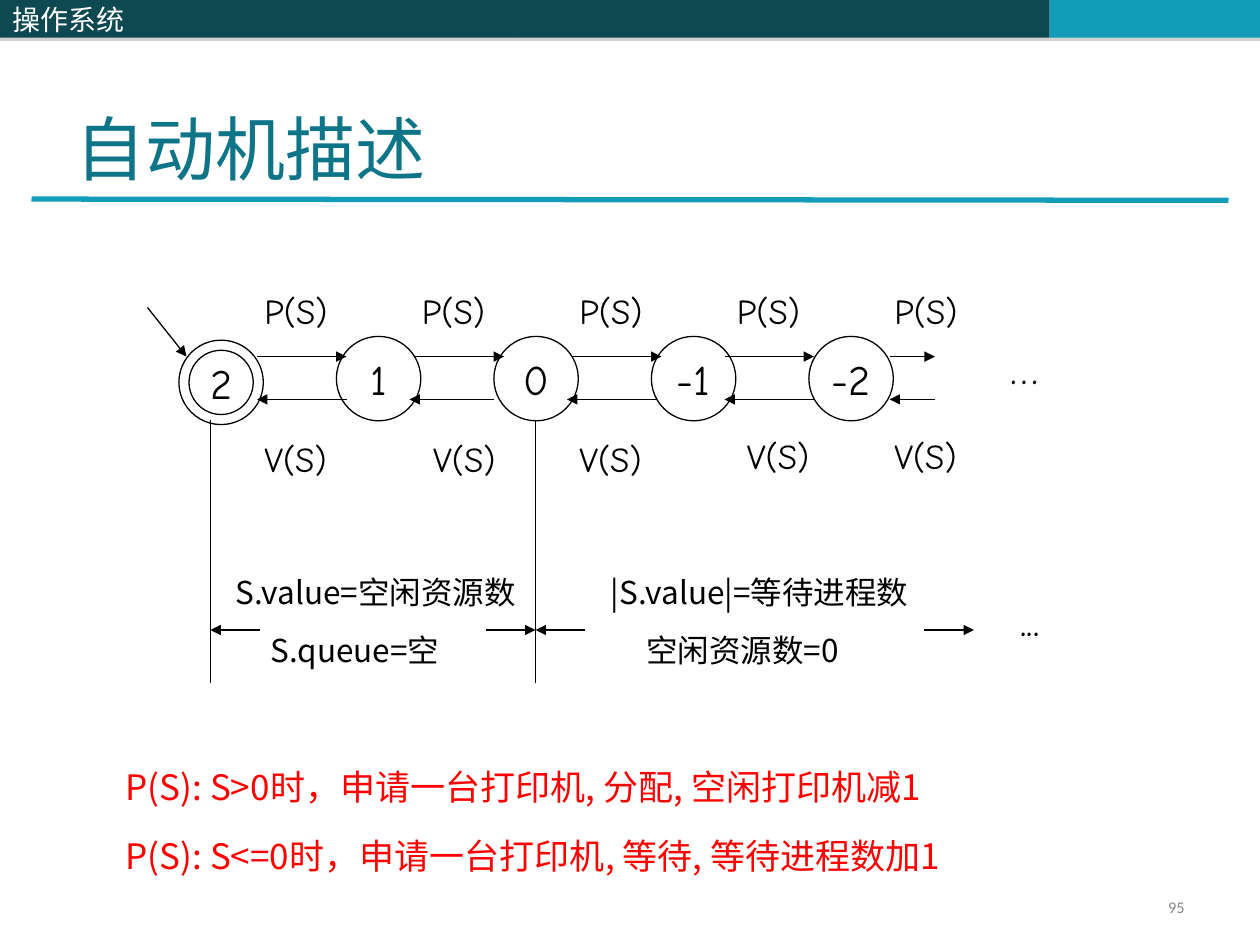
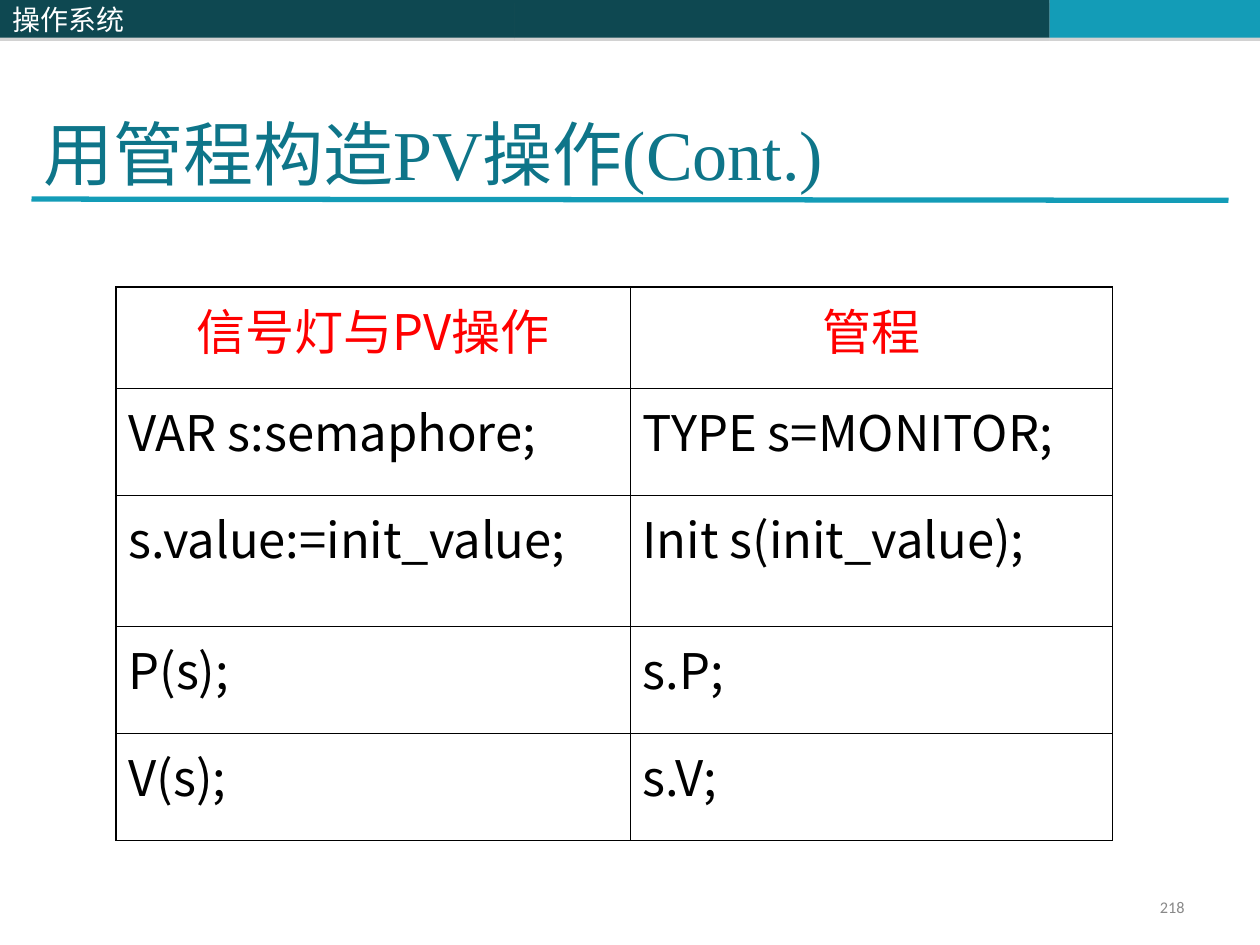
from dataclasses import dataclass

from lxml.etree import SubElement
from pptx import Presentation
from pptx.dml.color import RGBColor
from pptx.enum.shapes import MSO_CONNECTOR, MSO_SHAPE
from pptx.enum.text import MSO_ANCHOR, PP_ALIGN
from pptx.oxml import parse_xml
from pptx.oxml.ns import nsdecls, qn
from pptx.util import Inches, Pt


@dataclass(frozen=True)
class Theme:
    dark: str = "0E4851"
    accent: str = "139CB7"
    title: str = "0E7589"
    ink: str = "000000"
    alert: str = "FF0000"
    muted: str = "898989"
    white: str = "FFFFFF"
    shadow: str = "808080"
    cjk: str = "Noto Sans CJK SC"
    title_font: str = "Times New Roman"
    diagram_font: str = "Comic Neue"
    number_font: str = "Calibri"
    title_size: float = 40
    table_size: float = 28
    state_size: float = 24
    label_size: float = 20
    region_size: float = 18
    band_size: float = 16
    number_size: float = 9.3
    rule_width: float = 3
    line_width: float = 0.75
    outer_border: float = 1.08
    inner_border: float = 0.45


THEME = Theme()


def write(frame, lines, size, color=THEME.ink, font=THEME.cjk,
          align=PP_ALIGN.LEFT, anchor=MSO_ANCHOR.TOP, wrap=True):
    """Fill a text frame, one paragraph per line, and return the paragraphs."""
    frame.word_wrap = wrap
    frame.vertical_anchor = anchor
    for index, line in enumerate(lines):
        paragraph = frame.add_paragraph() if index else frame.paragraphs[0]
        paragraph.alignment = align
        run = paragraph.add_run()
        run.text = line
        run.font.size = Pt(size)
        run.font.name = font
        run.font.color.rgb = RGBColor.from_string(color)
        SubElement(run.font._element, qn("a:ea")).set("typeface", THEME.cjk)
    return frame.paragraphs


def draw_line(slide, start, end, arrow=True, color=THEME.ink, width=THEME.line_width):
    """Draw a straight line; an arrow points at its end."""
    line = slide.shapes.add_connector(
        MSO_CONNECTOR.STRAIGHT, *(Inches(v) for v in (*start, *end)))
    line.line.color.rgb = RGBColor.from_string(color)
    line.line.width = Pt(width)
    properties = line._element.spPr
    if arrow:
        SubElement(properties.find(qn("a:ln")), qn("a:tailEnd")).set("type", "triangle")
    SubElement(properties, qn("a:effectLst"))


deck = Presentation()
deck.slide_width, deck.slide_height = Inches(10), Inches(7.5)
blank = deck.slide_layouts[6]

# Shared bands, rule, title and page number
BANDS = [(4.08, 4.25, THEME.dark, ""), (8.33, 1.67, THEME.accent, ""),
         (0, 4.08, THEME.dark, "操作系统")]
PAGES = [("自动机描述", (0.5, 0.3, 9, 1.25), "95"),
         ("用管程构造PV操作(Cont.)", (0.25, 0.42, 8.52, 1.17), "218")]

for heading, heading_box, page_number in PAGES:
    slide = deck.slides.add_slide(blank)
    for left, width, color, course in BANDS:
        band = slide.shapes.add_shape(
            MSO_SHAPE.RECTANGLE, Inches(left), 0, Inches(width), Inches(0.3))
        band.fill.solid()
        band.fill.fore_color.rgb = RGBColor.from_string(color)
        band.line.fill.background()
        band._element.spPr.append(parse_xml(
            f'<a:effectLst {nsdecls("a")}><a:outerShdw dist="{Pt(1.8)}" dir="5400000">'
            f'<a:srgbClr val="{THEME.shadow}"><a:alpha val="35000"/></a:srgbClr>'
            '</a:outerShdw></a:effectLst>'))
        if course:
            write(band.text_frame, [course], THEME.band_size, THEME.white,
                  anchor=MSO_ANCHOR.MIDDLE)
    draw_line(slide, (0.25, 1.58), (9.75, 1.59), False, THEME.accent, THEME.rule_width)

    number = slide.shapes.add_textbox(*(Inches(v) for v in (7.17, 7.08, 2.33, 0.27)))
    write(number.text_frame, [page_number], THEME.number_size, THEME.muted,
          THEME.number_font, PP_ALIGN.RIGHT, MSO_ANCHOR.MIDDLE)[0].line_spacing = 0.8
    title = slide.shapes.add_textbox(*(Inches(v) for v in heading_box))
    write(title.text_frame, [heading], THEME.title_size, THEME.title,
          THEME.title_font, anchor=MSO_ANCHOR.BOTTOM)

automaton, monitor = deck.slides

# Slide 1: states, the first one with a double ring
STEP = 1.25
circles = [(1.42, 2.7, 0.67, "2"), (1.5, 2.78, 0.51, "")]
circles += [(2.67 + STEP * i, 2.67, 0.67, value)
            for i, value in enumerate(["1", "0", "-1", "-2"])]
for left, top, size, value in circles:
    state = automaton.shapes.add_shape(
        MSO_SHAPE.OVAL, Inches(left), Inches(top), Inches(size), Inches(size))
    state.shadow.inherit = False
    state.fill.background()
    state.line.color.rgb = RGBColor.from_string(THEME.ink)
    state.line.width = Pt(THEME.line_width)
    if value:
        write(state.text_frame, [value], THEME.state_size, font=THEME.diagram_font,
              align=PP_ALIGN.CENTER, anchor=MSO_ANCHOR.MIDDLE, wrap=False)

# Transitions: P runs right, V runs left
P_SPANS = [(2.04, 2.75), (3.29, 4), (4.54, 5.25), (5.75, 6.46), (7.06, 7.42)]
V_SPANS = [(2.75, 2.04), (3.92, 3.25), (5.21, 4.5), (6.46, 5.75), (7.42, 7.06)]
for spans, y in [(P_SPANS, 2.83), (V_SPANS, 3.17)]:
    for start, end in spans:
        draw_line(automaton, (start, y), (end, y))
draw_line(automaton, (1.17, 2.44), (1.48, 2.83))

# Regions below the states
for boundary in (1.67, 4.25):
    draw_line(automaton, (boundary, 3.33), (boundary, 5.42), arrow=False)
for start, end in [(3.86, 4.25), (2.06, 1.67), (4.64, 4.25), (7.33, 7.73)]:
    draw_line(automaton, (start, 5), (end, 5))

labels = [(2 + STEP * i, 2.25, 0.83, "P(S)", THEME.label_size) for i in range(5)]
labels += [(left, top, 0.83, "V(S)", THEME.label_size)
           for left, top in [(2, 3.42), (3.34, 3.42), (4.5, 3.42), (5.83, 3.4), (7, 3.4)]]
labels += [(7.92, 2.67, 0.5, "…", THEME.state_size),
           (8, 4.67, 0.67, "...", THEME.state_size)]
for left, top, width, text, size in labels:
    label = automaton.shapes.add_textbox(
        Inches(left), Inches(top), Inches(width), Inches(0.44))
    write(label.text_frame, [text], size, font=THEME.diagram_font)

REGIONS = [(1.77, 2.52, ["S.value=空闲资源数", "S.queue=空"]),
           (4.75, 2.77, ["|S.value|=等待进程数", "空闲资源数=0"])]
for left, width, meaning in REGIONS:
    region = automaton.shapes.add_textbox(
        Inches(left), Inches(4.5), Inches(width), Inches(1.16))
    second = write(region.text_frame, meaning, THEME.region_size)[1]
    second.space_before = Pt(11.2)
    second._p.get_or_add_pPr().set("marL", str(Inches(0.28)))

rules = automaton.shapes.add_textbox(*(Inches(v) for v in (0.9, 6.03, 8.27, 1.04)))
write(rules.text_frame,
      ["P(S): S>0时，申请一台打印机, 分配, 空闲打印机减1",
       "P(S): S<=0时，申请一台打印机, 等待, 等待进程数加1"],
      THEME.label_size, THEME.alert)[1].space_before = Pt(15)

# Slide 2: semaphore and monitor side by side
ROWS = [("信号灯与PV操作", "管程"),
        ("VAR s:semaphore;", "TYPE s=MONITOR;"),
        ("s.value:=init_value;", "Init s(init_value);"),
        ("P(s);", "s.P;"),
        ("V(s);", "s.V;")]
COLUMN_WIDTHS = [4.08, 3.83]
ROW_HEIGHTS = [0.8, 0.85, 1.04, 0.85, 0.85]
table = monitor.shapes.add_table(
    len(ROWS), len(COLUMN_WIDTHS), Inches(0.92), Inches(2.28),
    Inches(sum(COLUMN_WIDTHS)), Inches(sum(ROW_HEIGHTS))).table
table.first_row = table.horz_banding = False
for column, width in zip(table.columns, COLUMN_WIDTHS):
    column.width = Inches(width)
for r, (row, height) in enumerate(zip(ROWS, ROW_HEIGHTS)):
    table.rows[r].height = Inches(height)
    for c, text in enumerate(row):
        cell = table.cell(r, c)
        write(cell.text_frame, [text], THEME.table_size,
              THEME.ink if r else THEME.alert,
              align=PP_ALIGN.LEFT if r else PP_ALIGN.CENTER)
        outer_sides = {"lnL": c == 0, "lnR": c == len(row) - 1,
                       "lnT": r == 0, "lnB": r == len(ROWS) - 1}
        for side, is_outer in outer_sides.items():
            weight = THEME.outer_border if is_outer else THEME.inner_border
            cell._tc.get_or_add_tcPr().append(parse_xml(
                f'<a:{side} {nsdecls("a")} w="{Pt(weight)}"><a:solidFill>'
                f'<a:srgbClr val="{THEME.ink}"/></a:solidFill></a:{side}>'))
        cell.fill.background()

deck.save("out.pptx")
